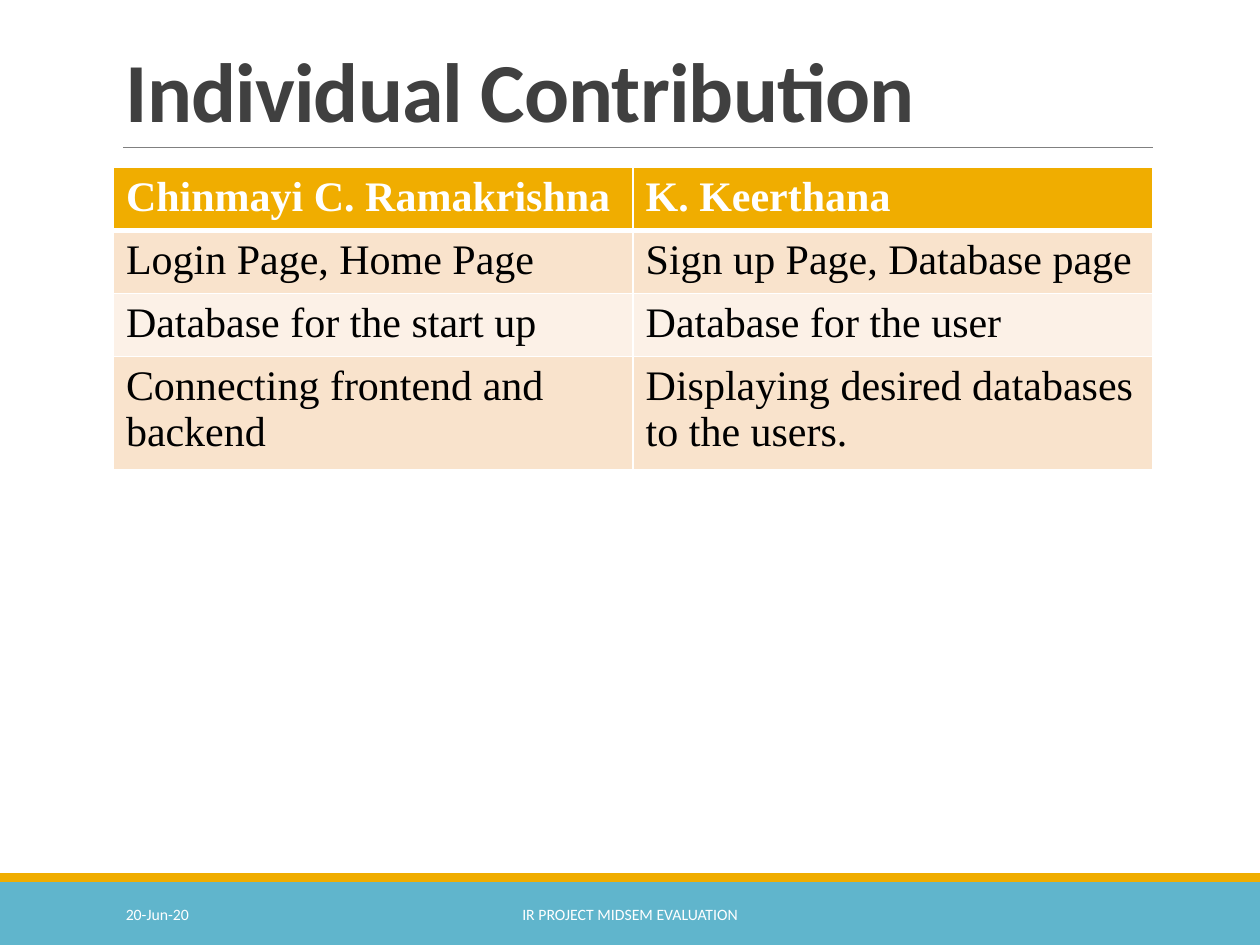
import pptx
import pptx.util
import pptx.dml.color
import pptx.enum.shapes
import pptx.enum.text
from lxml import etree
from pptx.util import Inches

RGBColor = pptx.dml.color.RGBColor
ANCHOR = pptx.enum.text.MSO_ANCHOR
ALIGN = pptx.enum.text.PP_ALIGN
NS = "http://schemas.openxmlformats.org/drawingml/2006/main"

WHITE = RGBColor(0xFF, 0xFF, 0xFF)
BLACK = RGBColor(0, 0, 0)
DARK = RGBColor(0x40, 0x40, 0x40)
GRAY = RGBColor(0x80, 0x80, 0x80)
GOLD = RGBColor(0xF0, 0xAD, 0x00)
TEAL = RGBColor(0x60, 0xB5, 0xCC)
PEACH = RGBColor(0xF9, 0xE3, 0xCC)
CREAM = RGBColor(0xFC, 0xF1, 0xE7)

TITLE_FONT = {"name": "Calibri", "size": 48, "bold": True, "color": DARK}
FOOTER_FONT = {"name": "Calibri", "size": 9, "bold": False, "color": WHITE}
HEADER_FONT = {"name": "Times New Roman", "size": 24, "bold": True, "color": WHITE}
BODY_FONT = {**HEADER_FONT, "bold": False, "color": BLACK}

BARS = [((0, 7, 10, 0.5), TEAL), ((0, 6.93, 10, 0.07), GOLD)]
TEXTS = [
    ("Individual Contribution", (0.9, 0.31, 8.25, 0.85), TITLE_FONT, ANCHOR.BOTTOM, ALIGN.LEFT),
    ("20-Jun-20", (0.9, 7.06, 2.03, 0.4), FOOTER_FONT, ANCHOR.MIDDLE, ALIGN.LEFT),
    ("IR PROJECT MIDSEM EVALUATION", (3.02, 7.06, 3.96, 0.4), FOOTER_FONT, ANCHOR.MIDDLE, ALIGN.CENTER),
]
ROWS = [
    ("Chinmayi C. Ramakrishna", "K. Keerthana"),
    ("Login Page, Home Page", "Sign up Page, Database page"),
    ("Database for the start up", "Database for the user"),
    ("Connecting frontend and backend", "Displaying desired databases to the users."),
]
TABLE_BOX = (0.9, 1.33, 8.25, 1.68)


def set_font(r, fmt):
    for key, value in fmt.items():
        if key == "color":
            r.font.color.rgb = value
        else:
            setattr(r.font, key, pptx.util.Pt(value) if key == "size" else value)


def add_text(s, text, box, fmt, anchor, align):
    sp = s.shapes.add_textbox(*map(Inches, box))
    tf = sp.text_frame
    tf.word_wrap = True
    tf.vertical_anchor = anchor
    p = tf.paragraphs[0]
    p.alignment = align
    r = p.add_run()
    r.text = text
    set_font(r, fmt)
    return p


def set_borders(cell, widths):
    tcPr = cell._tc.get_or_add_tcPr()
    for side, width in widths.items():
        ln = etree.SubElement(tcPr, f"{{{NS}}}ln{side}", w=str(pptx.util.Pt(width)))
        fill = etree.SubElement(ln, f"{{{NS}}}solidFill")
        etree.SubElement(fill, f"{{{NS}}}srgbClr", val=str(WHITE))


def add_table(s):
    tbl = s.shapes.add_table(len(ROWS), len(ROWS[0]), *map(Inches, TABLE_BOX)).table
    for i, row in enumerate(ROWS):
        for j, text in enumerate(row):
            cell = tbl.cell(i, j)
            set_borders(cell, {"L": 1, "R": 1, "T": 3 if i == 1 else 1, "B": 3 if i == 0 else 1})
            cell.fill.solid()
            cell.fill.fore_color.rgb = GOLD if i == 0 else (CREAM, PEACH)[i % 2]
            r = cell.text_frame.paragraphs[0].add_run()
            r.text = text
            set_font(r, HEADER_FONT if i == 0 else BODY_FONT)


def main():
    prs = pptx.Presentation()
    prs.slide_width, prs.slide_height = Inches(10), Inches(7.5)
    s = prs.slides.add_slide(prs.slide_layouts[6])

    for box, color in BARS:
        sp = s.shapes.add_shape(pptx.enum.shapes.MSO_SHAPE.RECTANGLE, *map(Inches, box))
        sp.shadow.inherit = False
        sp.fill.solid()
        sp.fill.fore_color.rgb = color
        sp.line.fill.background()

    rule = s.shapes.add_connector(
        pptx.enum.shapes.MSO_CONNECTOR.STRAIGHT, *map(Inches, (0.98, 1.17, 9.15, 1.17)))
    rule.line.color.rgb = GRAY
    rule.line.width = pptx.util.Pt(0.5)
    etree.SubElement(rule._element.spPr, f"{{{NS}}}effectLst")

    title, *footers = [add_text(s, *item) for item in TEXTS]
    title.line_spacing = 0.85
    title.runs[0].font._element.set("spc", "-50")

    add_table(s)
    prs.save("out.pptx")


if __name__ == "__main__":
    main()
